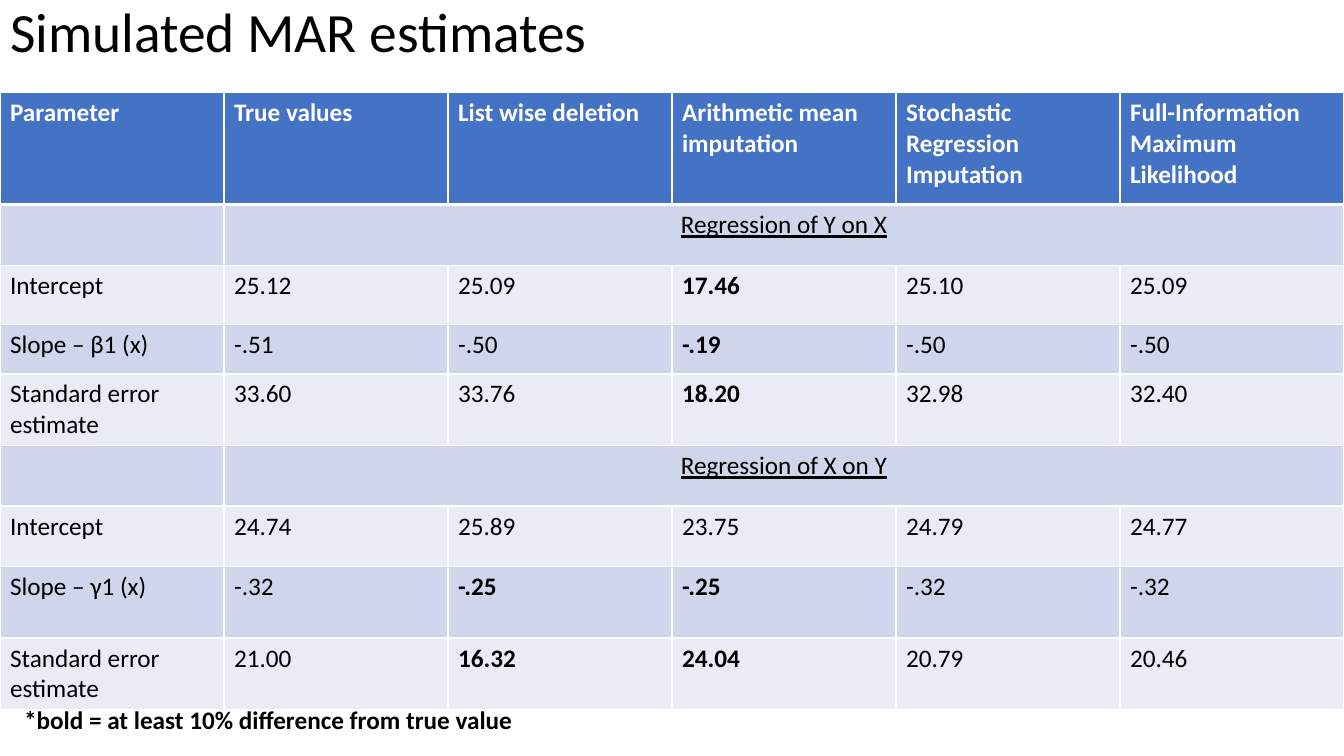
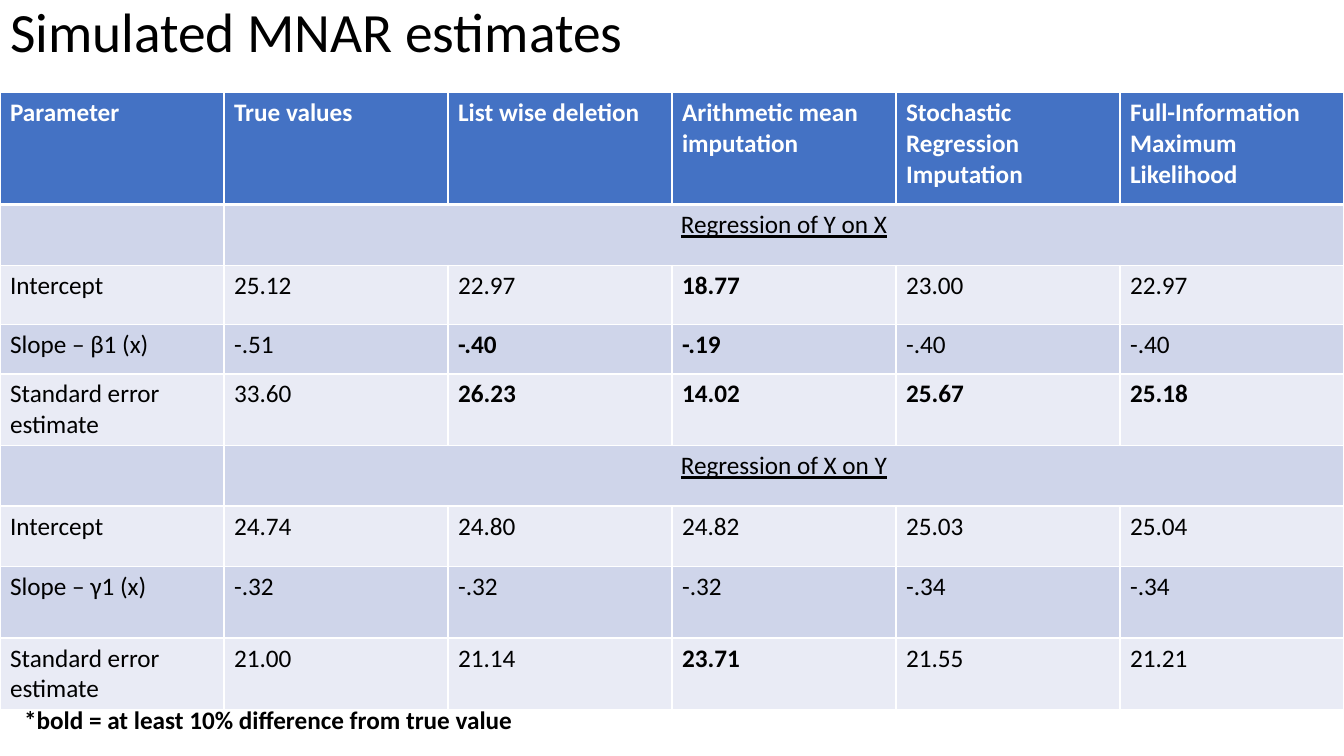
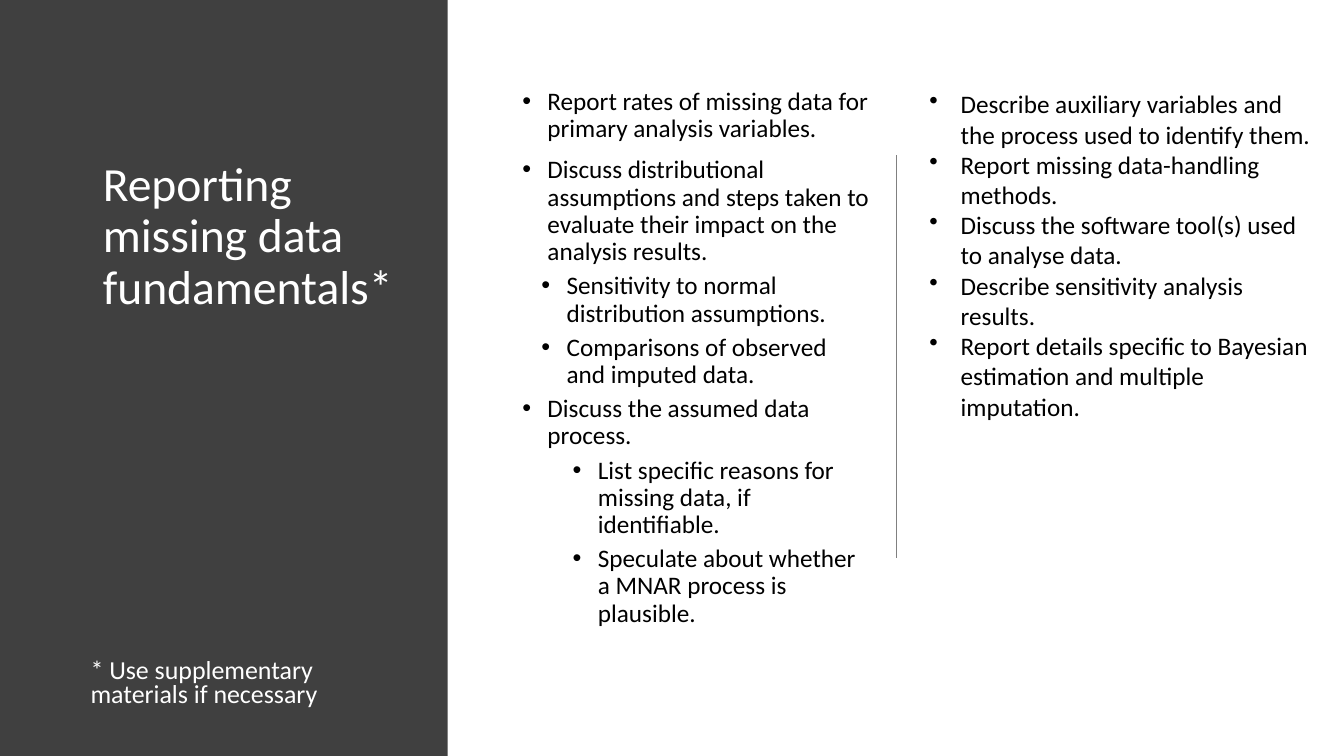
from pptx import Presentation
from pptx import util as u
from pptx.dml.color import RGBColor
from pptx.enum import shapes, text
from pptx.oxml.ns import qn
from lxml import etree

HUES = {
    "ink": "000000", "paper": "FFFFFF", "head": "4472C4",
    "dark": "CFD5EA", "light": "E9EBF5", "panel": "404040", "rule": "808080",
}
FONT = "Calibri"
TOP, MID = text.MSO_ANCHOR.TOP, text.MSO_ANCHOR.MIDDLE
LEFT, MIDDLE = text.PP_ALIGN.LEFT, text.PP_ALIGN.CENTER

HEADS = ["Parameter", "True values", "List wise deletion", "Arithmetic mean imputation",
         "Stochastic Regression Imputation", "Full-Information Maximum Likelihood"]
LABELS = ["Intercept", "Slope – {}1 (x)", "Standard error estimate"]
PARTS = [("Regression of Y on X", "β"), ("Regression of X on Y", "γ")]
ROWS = [1.11, 0.6, 0.59, 0.49, 0.71, 0.6, 0.6, 0.71, 0.7]
NOTE = "*bold = at least 10% difference from true value"

# A leading * marks a bold value.
TABLES = {
    "Simulated MAR estimates": [
        ["25.12 25.09 *17.46 25.10 25.09",
         "-.51 -.50 *-.19 -.50 -.50",
         "33.60 33.76 *18.20 32.98 32.40"],
        ["24.74 25.89 23.75 24.79 24.77",
         "-.32 *-.25 *-.25 -.32 -.32",
         "21.00 *16.32 *24.04 20.79 20.46"]],
    "Simulated MNAR estimates": [
        ["25.12 22.97 *18.77 23.00 22.97",
         "-.51 *-.40 *-.19 -.40 -.40",
         "33.60 *26.23 *14.02 *25.67 *25.18"],
        ["24.74 24.80 24.82 25.03 25.04",
         "-.32 -.32 -.32 -.34 -.34",
         "21.00 21.14 *23.71 21.55 21.21"]],
}

# Text, level, left indent, space before
STEPS = [
    ("Report rates of missing data for primary analysis variables.", 0, 0.56, 0),
    ("Discuss distributional assumptions and steps taken to evaluate their impact "
     "on the analysis results.", 0, 0.56, 10),
    ("Sensitivity to normal distribution assumptions.", 1, 0.75, 5),
    ("Comparisons of observed and imputed data.", 1, 0.75, 5),
    ("Discuss the assumed data process.", 1, 0.56, 5),
    ("List specific reasons for missing data, if identifiable.", 2, 1.06, 5),
    ("Speculate about whether a MNAR process is plausible.", 2, 1.06, 5),
]
DETAILS = [(line, 2, 0.9, 0) for line in (
    "Describe auxiliary variables and the process used to identify them.",
    "Report missing data-handling methods.",
    "Discuss the software tool(s) used to analyse data.",
    "Describe sensitivity analysis results.",
    "Report details specific to Bayesian estimation and multiple imputation.",
)]


def tint(hue):
    return RGBColor.from_string(HUES[hue])


def apply(item, values):
    for key, value in values.items():
        setattr(item, key, value)


def place(shape, box):
    apply(shape, dict(zip(("left", "top", "width", "height"), map(u.Inches, box))))


class Deck:
    def __init__(self):
        self.prs = Presentation()
        apply(self.prs, {"slide_width": u.Inches(13.33), "slide_height": u.Inches(7.5)})
        self.slide = None

    def page(self, layout):
        self.slide = self.prs.slides.add_slide(self.prs.slide_layouts.get_by_name(layout))

    def put(self, para, words, size=18, hue="ink", **style):
        """Add a styled run to a paragraph."""
        run = para.add_run()
        run.text = words
        apply(run.font, {"name": FONT, "size": u.Pt(size), **style})
        run.font.color.rgb = tint(hue)

    def frame(self, shape, anchor=TOP):
        apply(shape.text_frame, {"word_wrap": True, "vertical_anchor": anchor,
                                 "auto_size": text.MSO_AUTO_SIZE.NONE})
        return shape.text_frame

    def title(self, words, box, size, hue="ink", anchor=TOP):
        shape = self.slide.shapes.title
        place(shape, box)
        para = self.frame(shape, anchor).paragraphs[0]
        apply(para, {"alignment": LEFT, "line_spacing": 0.9})
        self.put(para, words, size, hue)

    def box(self, box):
        return self.slide.shapes.add_textbox(*map(u.Inches, box))

    def label(self, words, box, size=18, hue="ink", spacing=1.0, **style):
        para = self.frame(self.box(box)).paragraphs[0]
        para.line_spacing = spacing
        self.put(para, words, size, hue, **style)

    def bullets(self, shape, items, hang, spacing):
        frame = self.frame(shape)
        for n, (words, level, indent, before) in enumerate(items):
            para = frame.add_paragraph() if n else frame.paragraphs[0]
            props = para._p.get_or_add_pPr()
            props.set("marL", str(u.Inches(indent)))
            props.set("indent", str(-u.Inches(hang)))
            etree.SubElement(props, qn("a:buChar")).set("char", "•")
            apply(para, {"level": level, "line_spacing": spacing,
                         "space_before": u.Pt(before), "alignment": LEFT})
            self.put(para, words)

    def panel(self, box, hue):
        """Add a plain block behind everything else."""
        shape = self.slide.shapes.add_shape(shapes.MSO_SHAPE.RECTANGLE, *map(u.Inches, box))
        shape.shadow.inherit = False
        shape.fill.solid()
        shape.fill.fore_color.rgb = tint(hue)
        shape.line.fill.background()
        shape.element.getparent().insert(2, shape.element)

    def line(self, ends, hue):
        line = self.slide.shapes.add_connector(
            shapes.MSO_CONNECTOR.STRAIGHT, *map(u.Inches, ends))
        line.line.color.rgb = tint(hue)
        line.line.width = u.Pt(1)
        etree.SubElement(line.element.spPr, qn("a:effectLst"))

    def cell(self, cell, fill, edges):
        """Fill a cell and draw its borders, given as widths by side."""
        cell.fill.solid()
        cell.fill.fore_color.rgb = tint(fill)
        props = cell._tc.get_or_add_tcPr()
        for n, side in enumerate("LRTB"):
            edge = etree.Element(qn("a:ln" + side), w=str(u.Pt(edges.get(side, 1))))
            solid = etree.SubElement(edge, qn("a:solidFill"))
            etree.SubElement(solid, qn("a:srgbClr")).set("val", HUES["paper"])
            props.insert(n, edge)

    def table(self, rows, heights, box):
        """Draw rows; a row of two entries spans its second one."""
        wide = len(rows[0])
        grid = self.slide.shapes.add_table(len(rows), wide, *map(u.Inches, box)).table
        for col in grid.columns:
            col.width = u.Inches(box[2] / wide)
        for r, row in enumerate(rows):
            grid.rows[r].height = u.Inches(heights[r])
            fill = "head" if r == 0 else "dark" if r % 2 else "light"
            edges = {0: {"B": 3}, 1: {"T": 3}}.get(r, {})
            for c in range(wide):
                self.cell(grid.cell(r, c), fill, edges)
            span = len(row) == 2
            if span:
                grid.cell(r, 1).merge(grid.cell(r, wide - 1))
            for c, words in enumerate(row):
                if not words:
                    continue
                para = grid.cell(r, c).text_frame.paragraphs[0]
                para.alignment = MIDDLE if span else LEFT
                self.put(para, words.lstrip("*"), hue="ink" if r else "paper",
                         bold=r == 0 or words.startswith("*"), underline=span)


def estimates(deck, title, values):
    rows = [HEADS]
    for (part, sign), lines in zip(PARTS, values):
        rows.append(["", part])
        rows += [[name.format(sign)] + line.split() for name, line in zip(LABELS, lines)]
    deck.page("Title Only")
    deck.title(title, (0, 0.04, 11.5, 0.61), 39.6, anchor=MID)
    deck.table(rows, ROWS, (0, 0.92, 13.33, sum(ROWS)))
    deck.label(NOTE, (0.14, 6.94, 5.89, 0.4), bold=True)


def reporting(deck):
    deck.page("Title and Content")
    deck.panel((0, 0, 4.44, 7.5), "panel")
    deck.title("Reporting missing data fundamentals*", (0.92, 1.54, 3.17, 4.77), 34, "paper")
    body = deck.slide.placeholders[1]
    place(body, (4.77, 0.83, 3.95, 5.13))
    deck.bullets(body, STEPS, 0.25, 0.9)
    deck.line((8.89, 1.54, 8.89, 5.54), "rule")
    deck.label("* Use supplementary materials if necessary", (0.8, 6.49, 3.3, 0.63),
               18.5, "paper", 0.8)
    deck.bullets(deck.box((8.53, 0.83, 4.61, 3.43)), DETAILS, 0.31, 1.0)


def main():
    deck = Deck()
    for title, values in TABLES.items():
        estimates(deck, title, values)
    reporting(deck)
    deck.prs.save("out.pptx")


if __name__ == "__main__":
    main()
